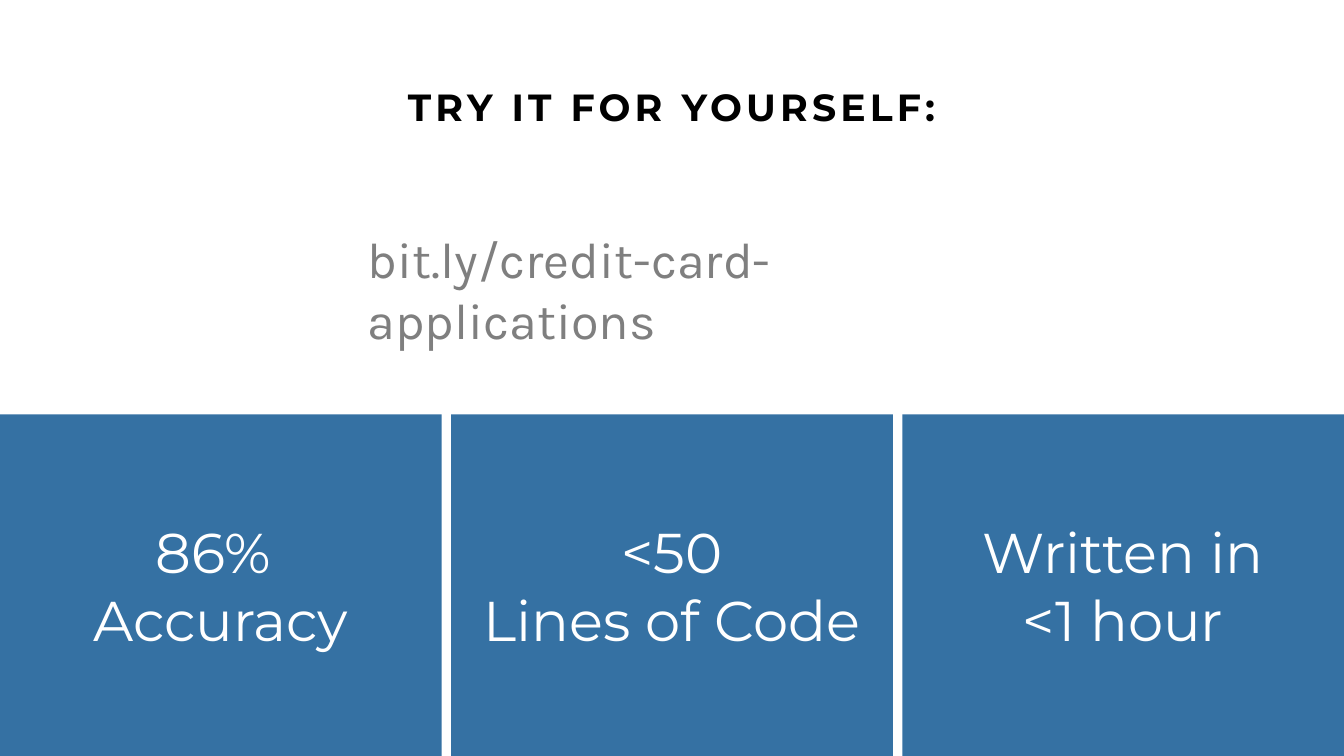
from pptx import Presentation
from pptx import util as u
from pptx.dml.color import RGBColor
from pptx.enum import shapes, text


def color(value):
    return RGBColor.from_string(value)


class Page:
    """Draws styled elements on one slide, placed on a grid of equal columns."""

    WIDTH, HEIGHT = 26.66, 15
    COLUMNS, GAP = 3, 0.19
    PANEL, WHITE, BLACK, GRAY = "3571A3", "FFFFFF", "000000", "7F7F7F"
    HEAD_FONT, LINK_FONT = "Montserrat", "Karla"

    def __init__(self, deck):
        deck.slide_width = u.Inches(self.WIDTH)
        deck.slide_height = u.Inches(self.HEIGHT)
        self.slide = deck.slides.add_slide(deck.slide_layouts[6])
        self.column = (self.WIDTH - self.GAP * (self.COLUMNS - 1)) / self.COLUMNS

    def set_text(self, box, lines, font, size, ink, align, bold=False):
        frame = box.text_frame
        frame.text = "\n".join(lines)
        for para in frame.paragraphs:
            para.alignment = align
            para.font.name = font
            para.font.size = u.Pt(size)
            para.font.bold = bold
            para.font.color.rgb = color(ink)
        return frame

    def textbox(self, top, width, height):
        left = (self.WIDTH - width) / 2
        return self.slide.shapes.add_textbox(*map(u.Inches, (left, top, width, height)))

    def heading(self, words, top, width, height):
        box = self.textbox(top, width, height)
        frame = self.set_text(box, [words], self.HEAD_FONT, 54, self.BLACK,
                              text.PP_ALIGN.CENTER, bold=True)
        frame.word_wrap = False
        frame.vertical_anchor = text.MSO_ANCHOR.MIDDLE
        para = frame.paragraphs[0]
        para.line_spacing = u.Pt(70.6)
        for span in para.runs:
            span._r.get_or_add_rPr().set("spc", "600")

    def address(self, words, top, width, height):
        box = self.textbox(top, width, height)
        frame = self.set_text(box, [words], self.LINK_FONT, 72, self.GRAY,
                              text.PP_ALIGN.LEFT)
        frame.word_wrap = True

    def panel(self, index, lines, top):
        left = index * (self.column + self.GAP)
        box = self.slide.shapes.add_shape(
            shapes.MSO_SHAPE.RECTANGLE,
            *map(u.Inches, (left, top, self.column, self.HEIGHT - top)))
        box.shadow.inherit = False
        box.fill.solid()
        box.fill.fore_color.rgb = color(self.PANEL)
        box.line.fill.background()
        frame = self.set_text(box, lines, self.HEAD_FONT, 80, self.WHITE,
                              text.PP_ALIGN.CENTER)
        frame.vertical_anchor = text.MSO_ANCHOR.MIDDLE


def main():
    deck = Presentation()
    page = Page(deck)
    facts = [("86% ", "Accuracy"), ("<50", "Lines of Code"), ("Written in", "<1 hour")]
    for index, lines in enumerate(facts):
        page.panel(index, lines, top=8.22)
    page.heading("TRY IT FOR YOURSELF:", top=1.56, width=10.9, height=1.03)
    page.address("bit.ly/credit-card-applications", top=4.48, width=12.27, height=1.31)
    deck.save("out.pptx")


if __name__ == "__main__":
    main()
